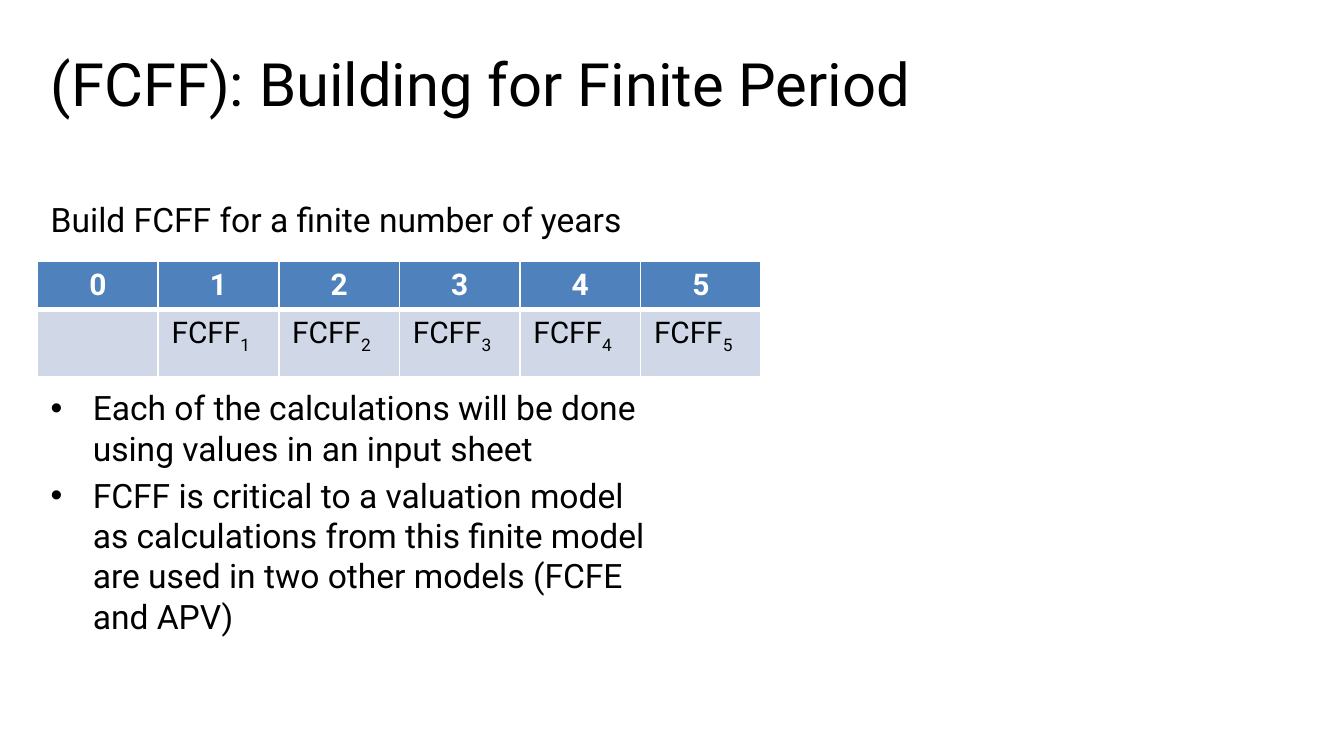
from dataclasses import dataclass

from lxml.etree import SubElement
from pptx import Presentation
from pptx.dml.color import RGBColor
from pptx.enum.text import MSO_ANCHOR, MSO_AUTO_SIZE, PP_ALIGN
from pptx.oxml import parse_xml
from pptx.oxml.ns import nsdecls, qn
from pptx.util import Pt

PX = 2286


@dataclass(frozen=True)
class Theme:
    font: str = "Roboto"
    text: str = "000000"
    header_text: str = "FFFFFF"
    header_fill: str = "4F81BD"
    row_fill: str = "D0D8E8"
    border: str = "FFFFFF"
    title_size: int = 32
    body_size: int = 18
    table_size: int = 16
    thin: int = 1
    thick: int = 3


class SlideBuilder:
    def __init__(self, slide, theme):
        self.slide = slide
        self.theme = theme

    def style(self, paragraph, size, color, bold=False):
        font = paragraph.font
        font.name = self.theme.font
        font.size = Pt(size)
        font.bold = bold
        font.color.rgb = RGBColor.from_string(color)

    def place(self, placeholder, left, top, width, height):
        placeholder.left, placeholder.top = left * PX, top * PX
        placeholder.width, placeholder.height = width * PX, height * PX
        frame = placeholder.text_frame
        frame.word_wrap = True
        frame.auto_size = MSO_AUTO_SIZE.NONE
        frame.vertical_anchor = MSO_ANCHOR.TOP
        return frame

    def title(self, text, *box):
        heading = self.place(self.slide.shapes.title, *box).paragraphs[0]
        heading.text = text
        heading.alignment = PP_ALIGN.LEFT
        self.style(heading, self.theme.title_size, self.theme.text)

    def body(self, items, *box):
        frame = self.place(self.slide.placeholders[1], *box)
        for index, (text, bulleted, gap) in enumerate(items):
            item = frame.add_paragraph() if index else frame.paragraphs[0]
            item.text = text
            item.space_before = Pt(gap)
            properties = item._p.get_or_add_pPr()
            indent = 125 * PX if bulleted else 0
            properties.set("marL", str(indent))
            properties.set("indent", str(-indent))
            if bulleted:
                SubElement(properties, qn("a:buChar"), char="•")
            else:
                SubElement(properties, qn("a:buNone"))
            self.style(item, self.theme.body_size, self.theme.text)

    def borders(self, cell, **widths):
        properties = cell._tc.get_or_add_tcPr()
        for index, side in enumerate("LRTB"):
            width = Pt(widths.get(side, self.theme.thin))
            properties.insert(index, parse_xml(
                f'<a:ln{side} {nsdecls("a")} w="{width}"><a:solidFill>'
                f'<a:srgbClr val="{self.theme.border}"/></a:solidFill></a:ln{side}>'))

    def fill(self, cell, color):
        cell.fill.solid()
        cell.fill.fore_color.rgb = RGBColor.from_string(color)

    def cash_flow_table(self, years, left, top, column_width, row_heights):
        theme = self.theme
        table = self.slide.shapes.add_table(
            2, len(years), left * PX, top * PX,
            column_width * len(years) * PX, sum(row_heights) * PX).table
        for row, height in zip(table.rows, row_heights):
            row.height = height * PX
        for column, year in enumerate(years):
            table.columns[column].width = column_width * PX
            header, flow = table.cell(0, column), table.cell(1, column)

            header.text = str(year)
            header.vertical_anchor = MSO_ANCHOR.MIDDLE
            header_label = header.text_frame.paragraphs[0]
            header_label.alignment = PP_ALIGN.CENTER
            self.style(header_label, theme.table_size, theme.header_text, True)
            self.fill(header, theme.header_fill)
            self.borders(header, B=theme.thick)

            flow_label = flow.text_frame.paragraphs[0]
            if year:
                flow_label.add_run().text = "FCFF"
                subscript = flow_label.add_run()
                subscript.text = str(year)
                subscript._r.get_or_add_rPr().set("baseline", "-25000")
            self.style(flow_label, theme.table_size, theme.text)
            self.fill(flow, theme.row_fill)
            self.borders(flow, T=theme.thick)


def main():
    deck = Presentation()
    deck.slide_width, deck.slide_height = 4000 * PX, 2250 * PX
    slide = deck.slides.add_slide(deck.slide_layouts[1])
    builder = SlideBuilder(slide, Theme())
    builder.title("(FCFF): Building for Finite Period", 111, 120, 2804, 452)
    builder.body([
        ("Build FCFF for a finite number of years", False, 0),
        ("Each of the calculations will be done using values in an input sheet",
         True, 79.3),
        ("FCFF is critical to a valuation model as calculations from this finite "
         "model are used in two other models (FCFE and APV)", True, 3.6),
    ], 111, 572, 1888, 1624)
    builder.cash_flow_table(range(6), 112, 777, 359, (140, 200))
    deck.save("out.pptx")


if __name__ == "__main__":
    main()
